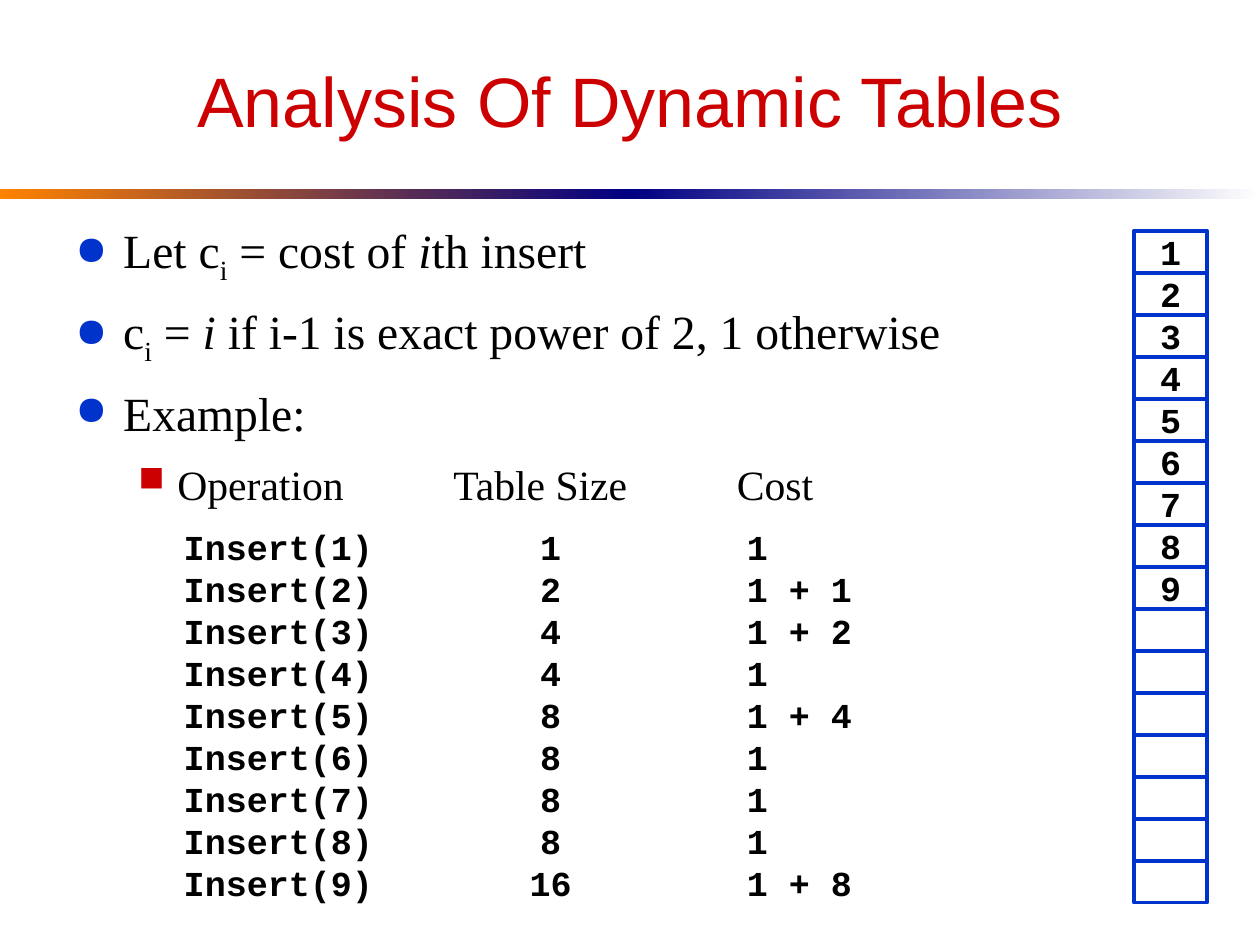
from lxml import etree
from pptx import Presentation
from pptx.dml.color import RGBColor
from pptx.enum.shapes import MSO_SHAPE
from pptx.enum.text import MSO_ANCHOR, PP_ALIGN
from pptx.oxml.ns import qn
from pptx.util import Inches, Pt

RECT = MSO_SHAPE.RECTANGLE
LEFT, CENTER = PP_ALIGN.LEFT, PP_ALIGN.CENTER
MIDDLE = MSO_ANCHOR.MIDDLE

RED = RGBColor(0xCC, 0x00, 0x00)
BLUE = RGBColor(0x00, 0x33, 0xCC)
NAVY = RGBColor(0x00, 0x00, 0x82)
ORANGE = RGBColor(0xFF, 0x82, 0x00)
BLACK = RGBColor(0, 0, 0)
WHITE = RGBColor(0xFF, 0xFF, 0xFF)

SANS, SERIF, MONO = "Arial", "Times New Roman", "Courier New"
ROW = 1 / 3     # height of every row and slot
SLOTS = 16

COSTS = [
    (1, "1"), (2, "1 + 1"), (4, "1 + 2"), (4, "1"), (8, "1 + 4"),
    (8, "1"), (8, "1"), (8, "1"), (16, "1 + 8"),
]
POINTS = [
    [("Let c", ""), ("i", "sub"), (" = cost of ", ""), ("i", "ital"),
     ("th insert", "")],
    [("c", ""), ("i", "sub"), (" = ", ""), ("i", "ital"),
     (" if i-1 is exact power of 2, 1 otherwise", "")],
    [("Example:", "")],
]


def write(para, text, font=SERIF, size=20, color=BLACK, bold=False,
          style="", align=LEFT):
    para.alignment = align
    run = para.add_run()
    run.text = text
    run.font.name = font
    run.font.size = Pt(size)
    run.font.color.rgb = color
    run.font.bold = bold
    run.font.italic = style == "ital"
    if style == "sub":
        run.font._element.set("baseline", "-25000")


def add_box(slide, left, top, width, height):
    box = slide.shapes.add_textbox(
        Inches(left), Inches(top), Inches(width), Inches(height))
    box.text_frame.word_wrap = True
    return box.text_frame


def add_rect(slide, left, top, width, height):
    rect = slide.shapes.add_shape(
        RECT, Inches(left), Inches(top), Inches(width), Inches(height))
    rect.shadow.inherit = False
    rect.line.fill.background()
    return rect


def add_bar(slide, left, start, end):
    fill = add_rect(slide, left, 1.5, 5, 0.08).fill
    fill.gradient()
    fill.gradient_angle = 0
    for stop, color in zip(fill.gradient_stops, (start, end)):
        stop.color.rgb = color


def add_cell(slide, left, top, width, text="", align=CENTER, line=None):
    cell = add_rect(slide, left, top, width, ROW)
    cell.fill.solid()
    cell.fill.fore_color.rgb = WHITE
    if line:
        cell.line.color.rgb = line
        cell.line.width = Pt(2.25)
    if text:
        frame = cell.text_frame
        frame.word_wrap = False
        frame.vertical_anchor = MIDDLE
        write(frame.paragraphs[0], text, font=MONO, bold=True, align=align)


def set_bullet(para, char, color, left, hang, before):
    para.space_before = Pt(before)
    props = para._p.get_or_add_pPr()
    props.set("marL", str(Inches(left)))
    props.set("indent", str(-Inches(hang)))
    tint = etree.SubElement(props, qn("a:buClr"))
    etree.SubElement(tint, qn("a:srgbClr"), val=str(color))
    etree.SubElement(props, qn("a:buSzPct"), val="85000")
    etree.SubElement(props, qn("a:buChar"), char=char)


def set_tabs(para, stops):
    tabs = etree.SubElement(para._p.get_or_add_pPr(), qn("a:tabLst"))
    for stop in stops:
        etree.SubElement(tabs, qn("a:tab"), pos=str(Inches(stop)), algn="l")


def add_points(slide):
    frame = add_box(slide, 0.5, 1.67, 9, 2.25)
    frame.margin_top = Inches(0.08)
    for i, runs in enumerate(POINTS):
        para = frame.add_paragraph() if i else frame.paragraphs[0]
        set_bullet(para, "●", BLUE, 0.38, 0.38, 9.5 if i else 0)
        for text, style in runs:
            write(para, text, size=27.2, style=style)

    # Column heads for the rows below
    heads = frame.add_paragraph()
    heads.level = 1
    set_bullet(heads, "■", RED, 0.81, 0.31, 10)
    set_tabs(heads, (3, 5.25))
    write(heads, "Operation\tTable Size\tCost", size=23.8)


def main():
    deck = Presentation()
    deck.slide_width, deck.slide_height = Inches(10), Inches(7.5)
    slide = deck.slides.add_slide(deck.slide_layouts[6])

    # Title and rule
    add_bar(slide, 0, ORANGE, NAVY)
    add_bar(slide, 5, NAVY, WHITE)
    title = add_box(slide, 0.5, 0.25, 9, 1.08)
    title.vertical_anchor = MIDDLE
    write(title.paragraphs[0], "Analysis Of Dynamic Tables", font=SANS,
          size=40, color=RED, align=CENTER)

    add_points(slide)

    # Cost of each insert
    for i, (size, cost) in enumerate(COSTS):
        top = 4.17 + i * ROW
        add_cell(slide, 1.92, top, 0.58, f"Insert({i + 1})")
        add_cell(slide, 4.08, top, 0.58, str(size))
        add_cell(slide, 5.83, top, 0.83, cost, align=LEFT)

    # Table slots, filled up to the last insert
    for i in range(SLOTS):
        text = str(i + 1) if i < len(COSTS) else ""
        add_cell(slide, 9, 1.83 + i * ROW, 0.58, text, line=BLUE)

    deck.save("out.pptx")


if __name__ == "__main__":
    main()
